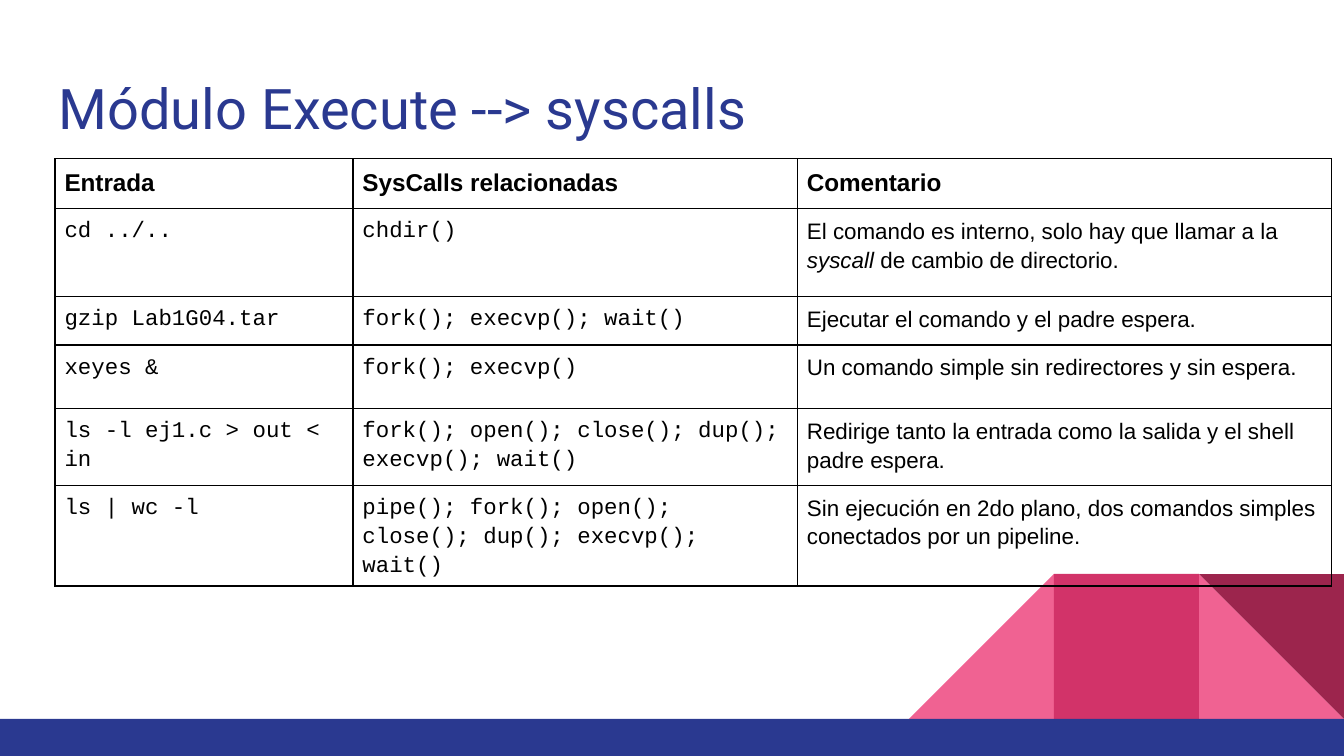
from lxml.etree import SubElement
from pptx import Presentation
from pptx.dml.color import RGBColor
from pptx.enum.shapes import MSO_SHAPE as Preset
from pptx.enum.text import MSO_ANCHOR as Anchor, PP_ALIGN as Align
from pptx.oxml.ns import qn
from pptx.util import Cm, Pt

SLIDE_W, SLIDE_H = 25.4, 14.29
NAVY, PINK, ROSE, WINE, BLACK = "2A3990", "F06292", "D23369", "9C254D", "000000"

TITLE = "Módulo Execute --> syscalls"
HEADER = ("Entrada", "SysCalls relacionadas", "Comentario")
# Comments are lists of (text, italic) runs
COMMANDS = [
    ("cd ../..", "chdir()",
     [("El comando es interno, solo hay que llamar a la ", False),
      ("syscall", True), (" de cambio de directorio.", False)]),
    ("gzip Lab1G04.tar", "fork(); execvp(); wait()",
     [("Ejecutar el comando y el padre espera.", False)]),
    ("xeyes &", "fork(); execvp()",
     [("Un comando simple sin redirectores y sin espera.", False)]),
    ("ls -l ej1.c > out < in", "fork(); open(); close(); dup(); execvp(); wait()",
     [("Redirige tanto la entrada como la salida y el shell padre espera.", False)]),
    ("ls | wc -l", "pipe(); fork(); open(); close(); dup(); execvp(); wait()",
     [("Sin ejecución en 2do plano, dos comandos simples conectados por un pipeline.",
       False)]),
]
COLUMN_WIDTHS = (5.63, 8.4, 10.1)
ROW_HEIGHTS = (0.94, 1.67, 0.91, 1.2, 1.45, 1.68)

BAR_H, TILE = 0.7, 2.74
# Preset, colour, tiles from the right edge, rotation
TILES = [
    (Preset.RIGHT_TRIANGLE, PINK, 1, 0),
    (Preset.RIGHT_TRIANGLE, PINK, 3, 270),
    (Preset.RECTANGLE, ROSE, 2, 0),
    (Preset.RIGHT_TRIANGLE, WINE, 1, 180),
]


def rgb(value):
    return RGBColor.from_string(value)


def style_font(font, name, size, color, bold=False):
    font.name, font.size, font.bold = name, Pt(size), bold
    font.color.rgb = rgb(color)


def add_block(slide, preset, color, left, top, width, height, rotation=0):
    block = slide.shapes.add_shape(preset, Cm(left), Cm(top), Cm(width), Cm(height))
    block.fill.solid()
    block.fill.fore_color.rgb = rgb(color)
    block.line.fill.background()
    block.shadow.inherit = False
    block.rotation = rotation


def add_borders(cell):
    """Outline a cell; called before its fill, which must follow the lines."""
    properties = cell._tc.get_or_add_tcPr()
    for side in ("a:lnL", "a:lnR", "a:lnT", "a:lnB"):
        line = SubElement(properties, qn(side), w=str(Pt(0.75)))
        fill = SubElement(line, qn("a:solidFill"))
        SubElement(fill, qn("a:srgbClr"), val=BLACK)


def fill_cell(cell, runs, font_name, size, bold):
    add_borders(cell)
    cell.fill.background()
    cell.margin_left = cell.margin_right = Cm(0.18)
    cell.margin_top = cell.margin_bottom = Cm(0.13)
    paragraph = cell.text_frame.paragraphs[0]
    paragraph.line_spacing = 1.15
    style_font(paragraph.font, font_name, size, BLACK, bold)
    for text, italic in runs:
        run = paragraph.add_run()
        run.text = text
        if italic:
            run.font.italic = True


def add_title(slide):
    title = slide.shapes.title
    title.left, title.top, title.width, title.height = Cm(0.86), Cm(1.14), Cm(23.67), Cm(1.68)
    frame = title.text_frame
    frame.text = TITLE
    frame.word_wrap = True
    frame.vertical_anchor = Anchor.TOP
    frame.margin_left = frame.margin_right = Cm(0.25)
    frame.margin_top = frame.margin_bottom = Cm(0.25)
    paragraph = frame.paragraphs[0]
    paragraph.alignment = Align.LEFT
    paragraph.line_spacing = 1.0
    style_font(paragraph.font, "Roboto", 30, NAVY)


def add_decoration(slide):
    bar_top = SLIDE_H - BAR_H
    for preset, color, steps, rotation in TILES:
        add_block(slide, preset, color, SLIDE_W - steps * TILE, bar_top - TILE,
                  TILE, TILE, rotation)
    add_block(slide, Preset.RECTANGLE, NAVY, 0, bar_top, SLIDE_W, BAR_H)


def add_syscall_table(slide):
    table = slide.shapes.add_table(
        len(ROW_HEIGHTS), len(COLUMN_WIDTHS), Cm(1.04), Cm(3),
        Cm(sum(COLUMN_WIDTHS)), Cm(sum(ROW_HEIGHTS))).table
    table.horz_banding = False
    for column, width in zip(table.columns, COLUMN_WIDTHS):
        column.width = Cm(width)
    for row, height in zip(table.rows, ROW_HEIGHTS):
        row.height = Cm(height)
    for c, heading in enumerate(HEADER):
        fill_cell(table.cell(0, c), [(heading, False)], "Arial", 13, True)
    for r, (command, calls, comment) in enumerate(COMMANDS, start=1):
        fill_cell(table.cell(r, 0), [(command, False)], "Courier New", 12, False)
        fill_cell(table.cell(r, 1), [(calls, False)], "Courier New", 12, False)
        fill_cell(table.cell(r, 2), comment, "Arial", 12, False)


def main():
    deck = Presentation()
    deck.slide_width, deck.slide_height = Cm(SLIDE_W), Cm(SLIDE_H)
    slide = deck.slides.add_slide(deck.slide_layouts[5])
    add_title(slide)
    add_decoration(slide)
    add_syscall_table(slide)
    deck.save("out.pptx")


if __name__ == "__main__":
    main()
